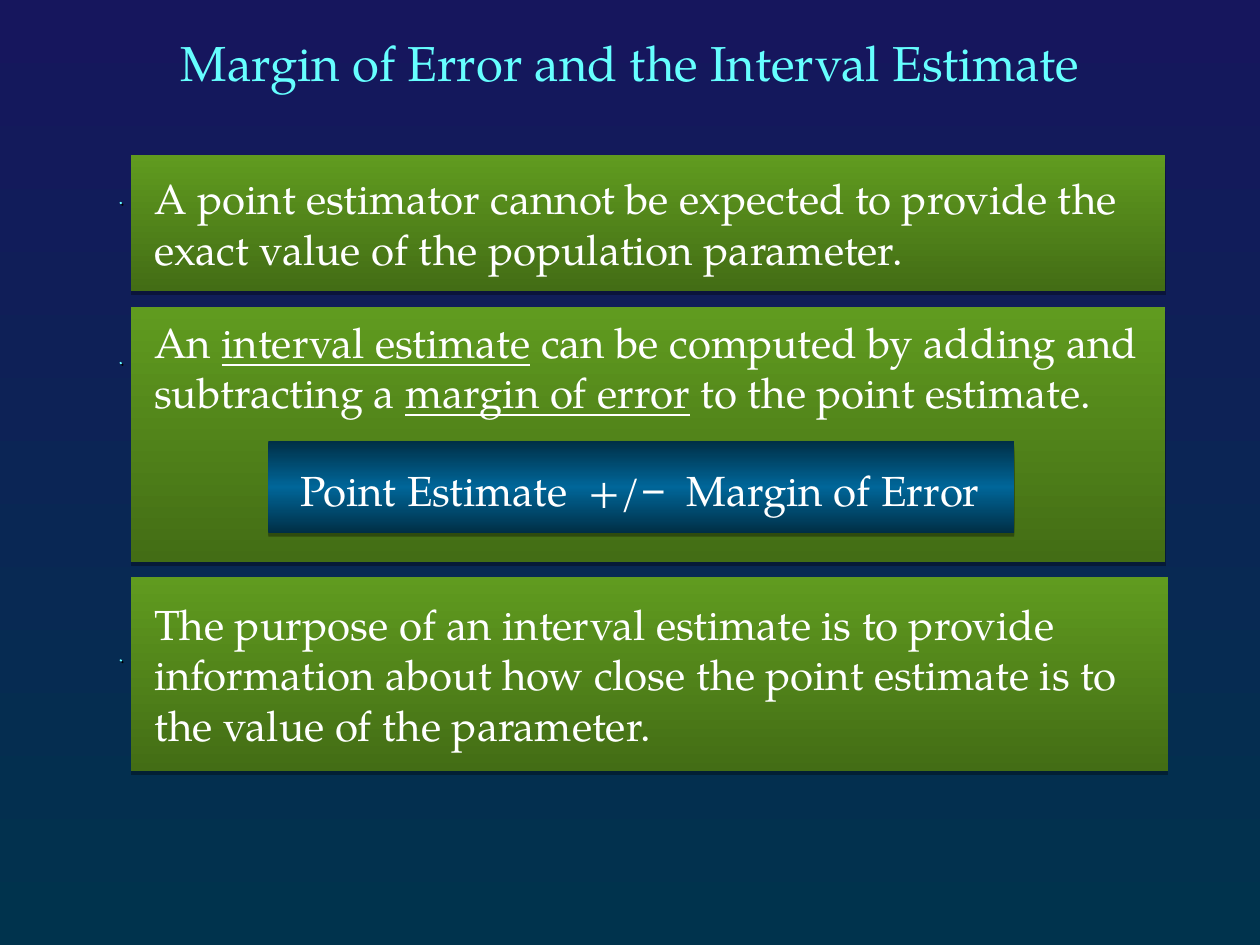
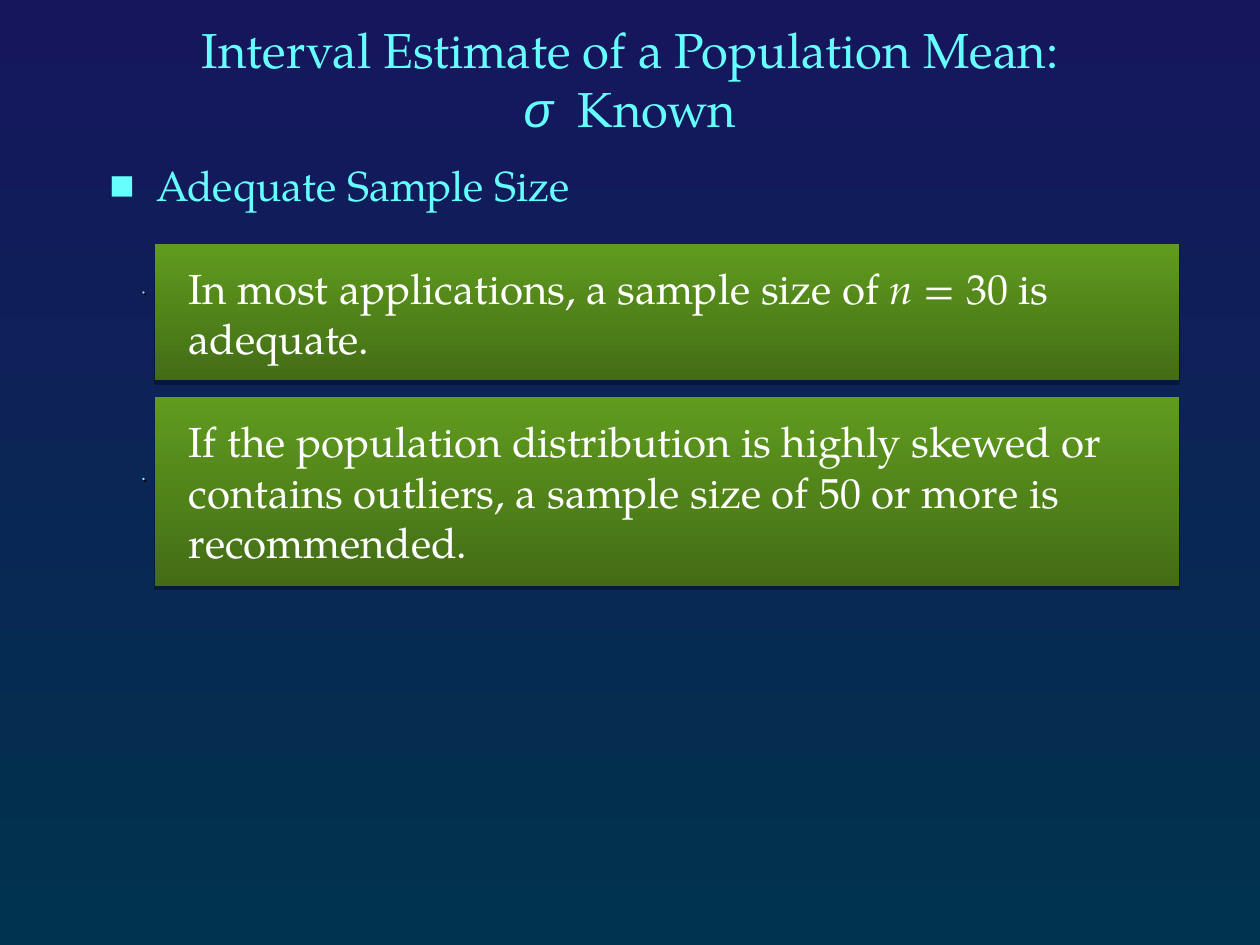
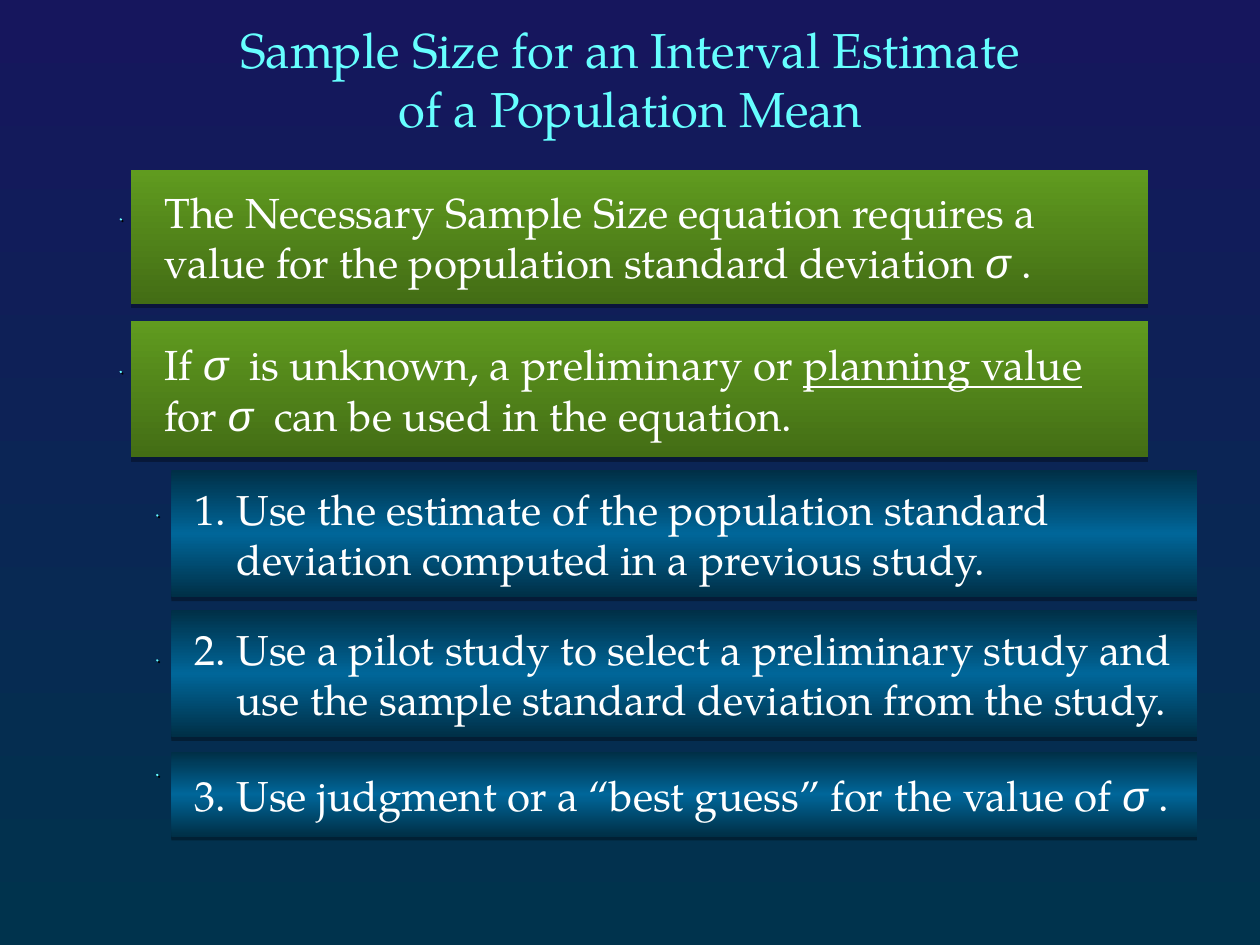
from lxml.etree import SubElement
from pptx import Presentation
from pptx.dml.color import RGBColor
from pptx.enum.shapes import MSO_SHAPE
from pptx.enum.text import MSO_ANCHOR, PP_ALIGN
from pptx.oxml.ns import qn
from pptx.util import Inches, Pt

COLOURS = {
    "accent": "66FFFF",
    "text": "FFFFFF",
    "shadow": "000000",
}
GRADIENTS = {
    "page": ["16165D", "00334D"],
    "green": ["609B1F", "436D15"],
    "blue": ["002F46", "006699", "002F46"],
}
FONT = "TeX Gyre Pagella"
SYMBOL_FONT = "Arial"
BODY_SIZE = 24
TITLE_SIZE = 28
INDENT_STEP = Pt(6)
SIGMA = ("σ", "symbol")
GAP = (" ", "wide")
BREAK = "\n"


def colour(name):
    """Return a named colour."""
    return RGBColor.from_string(COLOURS[name])


def paint_gradient(fill, element, name):
    """Fill with a named gradient that runs from top to bottom."""
    fill.gradient()
    fill.gradient_angle = 270
    stops = element.xpath(".//a:gsLst")[0]
    for stop in list(stops):
        stops.remove(stop)
    hexes = GRADIENTS[name]
    for index, value in enumerate(hexes):
        position = 100000 * index // (len(hexes) - 1)
        stop = SubElement(stops, qn("a:gs"), pos=str(position))
        SubElement(stop, qn("a:srgbClr"), val=value)


def cast_shadow(shape, distance, angle, opacity):
    """Give a shape a sharp shadow."""
    shape.shadow.inherit = False
    effects = shape._element.spPr.find(qn("a:effectLst"))
    shadow = SubElement(effects, qn("a:outerShdw"), blurRad="0",
                        dist=str(Pt(distance)), dir=str(angle * 60000),
                        algn="ctr", rotWithShape="0")
    tint = SubElement(shadow, qn("a:srgbClr"), val=COLOURS["shadow"])
    SubElement(tint, qn("a:alpha"), val=str(opacity * 1000))


def write(para, spans, size=BODY_SIZE, tint="text"):
    """Write spans of text, each plain or paired with a style."""
    for item in spans:
        if item == BREAK:
            para.add_line_break()
            continue
        text, style = item if isinstance(item, tuple) else (item, "plain")
        span = para.add_run()
        span.text = text
        span.font.name = SYMBOL_FONT if style in ("symbol", "sign") else FONT
        span.font.size = Pt(size)
        span.font.color.rgb = colour(tint)
        span.font.italic = style in ("symbol", "italic")
        span.font.underline = style == "underline"
        if style == "wide":
            span.font._element.set("spc", str(25 * size))


def hang(para, indent):
    """Indent all lines of a paragraph but the first."""
    properties = para._p.get_or_add_pPr()
    properties.set("marL", str(indent))
    properties.set("indent", str(-indent))
    return properties


def add_label(page, left, top, width, height, spans, **style):
    """Add a centred line of text."""
    box = page.shapes.add_textbox(
        Inches(left), Inches(top), Inches(width), Inches(height))
    frame = box.text_frame
    frame.word_wrap = True
    frame.margin_left = frame.margin_right = 0
    frame.vertical_anchor = MSO_ANCHOR.MIDDLE
    para = frame.paragraphs[0]
    para.alignment = PP_ALIGN.CENTER
    write(para, spans, **style)


def add_title(page, top, height, spans):
    """Add the slide title."""
    add_label(page, 0.75, top, 8.5, height, spans,
              size=TITLE_SIZE, tint="accent")


def add_heading(page, text):
    """Add a heading with a square bullet."""
    box = page.shapes.add_textbox(
        Inches(0.77), Inches(1.22), Inches(8.65), Inches(0.67))
    box.text_frame.word_wrap = True
    para = box.text_frame.paragraphs[0]
    para.space_before = Pt(4.9)
    properties = hang(para, Inches(0.37))
    bullet_colour = SubElement(properties, qn("a:buClr"))
    SubElement(bullet_colour, qn("a:srgbClr"), val=COLOURS["accent"])
    SubElement(properties, qn("a:buFont"), typeface=SYMBOL_FONT)
    SubElement(properties, qn("a:buChar"), char="■")
    write(para, [text], tint="accent")


def add_band(page, left, top, width, height, gradient):
    """Add a gradient rectangle with a shadow below it."""
    band = page.shapes.add_shape(
        MSO_SHAPE.RECTANGLE,
        Inches(left), Inches(top), Inches(width), Inches(height))
    paint_gradient(band.fill, band._element, gradient)
    band.line.fill.background()
    cast_shadow(band, 2.2, 90, 32)
    return band


def add_speck(page, left, top):
    """Add a turned frame with a tiny triangle in its first corner."""
    side = Pt(0.3)
    x, y = Inches(left), Inches(top)
    builder = page.shapes.build_freeform(x, y)
    builder.add_line_segments([(x + side, y), (x, y + side)])
    builder.move_to(x + Inches(0.27), y + Inches(0.17))
    speck = builder.convert_to_shape()
    speck.rotation = 90
    speck.fill.solid()
    speck.fill.fore_color.rgb = colour("accent")
    speck.line.color.rgb = colour("accent")
    speck.line.width = Pt(1)
    cast_shadow(speck, 1.4, 45, 100)


def add_statement(page, place, speck, spans, steps=1,
                  gradient="green", hanging=0, top_inset=None):
    """Add a band that holds one statement, and its speck."""
    band = add_band(page, *place, gradient)
    frame = band.text_frame
    frame.word_wrap = True
    frame.margin_left = Inches(0.1) + steps * INDENT_STEP
    frame.margin_right = 0
    frame.vertical_anchor = MSO_ANCHOR.MIDDLE
    if top_inset is not None:
        frame.vertical_anchor = MSO_ANCHOR.TOP
        frame.margin_top = Inches(top_inset)
    para = frame.paragraphs[0]
    para.alignment = PP_ALIGN.LEFT
    if hanging:
        hang(para, hanging * INDENT_STEP)
    write(para, spans)
    add_speck(page, *speck)


def add_page(deck):
    """Add a blank slide with the shared background."""
    page = deck.slides.add_slide(deck.slide_layouts[6])
    paint_gradient(page.background.fill, page._element, "page")
    return page


def build_margin_of_error(deck):
    """Build the slide on the margin of error."""
    page = add_page(deck)
    add_title(page, 0.14, 0.71, ["Margin of Error and the Interval Estimate"])
    add_statement(page, (1.04, 1.23, 8.21, 1.08), (0.74, 1.66), [
        "A point estimator cannot be expected to provide the", BREAK,
        "exact value of the population parameter."])
    add_statement(page, (1.04, 2.44, 8.21, 2.02), (0.74, 2.93), [
        "An ", ("interval estimate", "underline"),
        " can be computed by adding and", BREAK,
        "subtracting a ", ("margin of error", "underline"),
        " to the point estimate."], top_inset=0.07)
    add_band(page, 2.13, 3.5, 5.92, 0.73, "blue")
    add_label(page, 2.26, 3.64, 5.64, 0.5, [
        "Point Estimate", GAP, "+/", ("−", "sign"), GAP, "Margin of Error"])
    add_statement(page, (1.04, 4.58, 8.23, 1.54), (0.74, 5.29), [
        "The purpose of an interval estimate is to provide", BREAK,
        "information about how close the point estimate is to", BREAK,
        "the value of the parameter."])


def build_adequate_size(deck):
    """Build the slide on an adequate sample size."""
    page = add_page(deck)
    add_title(page, 0.18, 0.89, [
        "Interval Estimate of a Population Mean:", BREAK,
        SIGMA, GAP, "Known"])
    add_heading(page, "Adequate Sample Size")
    add_statement(page, (1.23, 1.94, 8.13, 1.08), (0.92, 2.37), [
        "In most applications, a sample size of ", ("n", "italic"),
        " = 30 is", BREAK, "adequate."], steps=2)
    add_statement(page, (1.23, 3.15, 8.13, 1.5), (0.92, 3.85), [
        "If the population distribution is highly skewed or", BREAK,
        "contains outliers, a sample size of 50 or more is", BREAK,
        "recommended."], steps=2)


def build_sample_size(deck):
    """Build the slide on choosing a planning value."""
    page = add_page(deck)
    add_title(page, 0.18, 0.89, [
        "Sample Size for an Interval Estimate", BREAK,
        "of a Population Mean"])
    add_statement(page, (1.04, 1.35, 8.07, 1.06), (0.74, 1.79), [
        "The Necessary Sample Size equation requires a", BREAK,
        "value for the population standard deviation ", SIGMA, " ."],
        steps=2)
    add_statement(page, (1.04, 2.55, 8.07, 1.08), (0.74, 3), [
        "If ", SIGMA, GAP, "is unknown, a preliminary or ",
        ("planning value", "underline"), BREAK,
        "for ", SIGMA, GAP, "can be used in the equation."], steps=2)
    choices = [
        (3.73, 1.01, 4.14, [
            "1. Use the estimate of the population standard", BREAK,
            "deviation computed in a previous study."]),
        (4.84, 1.01, 5.29, [
            "2. Use a pilot study to select a preliminary study and", BREAK,
            "use the sample standard deviation from the study."]),
        (5.97, 0.67, 6.2, [
            "3. Use judgment or a “best guess” for the value of ",
            SIGMA, " ."]),
    ]
    for top, height, speck_top, spans in choices:
        add_statement(page, (1.36, top, 8.14, height), (1.03, speck_top),
                      spans, gradient="blue", hanging=4)


def main():
    """Build and save the deck."""
    deck = Presentation()
    deck.slide_width = Inches(10)
    deck.slide_height = Inches(7.5)
    build_margin_of_error(deck)
    build_adequate_size(deck)
    build_sample_size(deck)
    deck.save("out.pptx")


if __name__ == "__main__":
    main()
